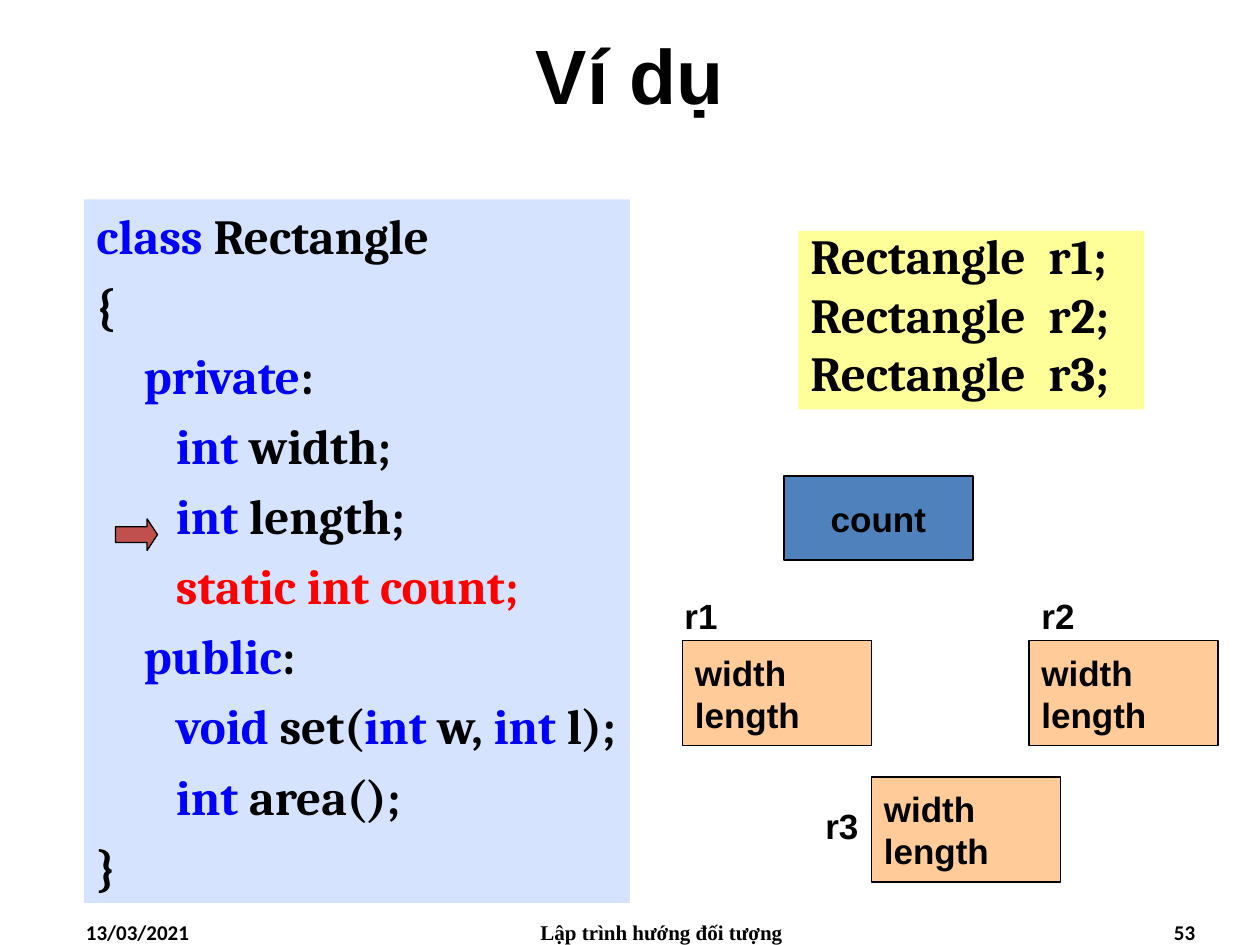
from lxml import etree
from pptx import Presentation
from pptx.dml.color import RGBColor
from pptx.enum.shapes import MSO_SHAPE
from pptx.enum.text import MSO_ANCHOR, MSO_AUTO_SIZE, PP_ALIGN
from pptx.oxml.ns import qn
from pptx.util import Pt

RECT, ARROW = MSO_SHAPE.RECTANGLE, MSO_SHAPE.RIGHT_ARROW
LEFT, CENTER, RIGHT = PP_ALIGN.LEFT, PP_ALIGN.CENTER, PP_ALIGN.RIGHT
TOP, MIDDLE = MSO_ANCHOR.TOP, MSO_ANCHOR.MIDDLE
FIT_SHAPE = MSO_AUTO_SIZE.SHAPE_TO_FIT_TEXT

BLACK, KEYWORD, STATIC = "000000", "0000FF", "FF0000"
TITLE_ONLY = 5


def color(value):
    return RGBColor.from_string(value)


class SlideBuilder:
    """Holds the text style and the slide being filled."""
    sans, code_font = "Arial", "Cambria"
    label_size, code_size = 20, 28
    code_gap = 6.4

    def __init__(self, page):
        self.page = page

    def span(self, para, text, size, font, ink=BLACK):
        span = para.add_run()
        span.text = text
        span.font.size = Pt(size)
        span.font.name = font
        span.font.bold = True
        span.font.color.rgb = color(ink)

    def paragraphs(self, frame, count):
        """Yield the first paragraph, then added ones."""
        for index in range(count):
            yield frame.add_paragraph() if index else frame.paragraphs[0]

    def fill_text(self, frame, lines, size, font, align=LEFT, anchor=TOP):
        frame.vertical_anchor = anchor
        for para, line in zip(self.paragraphs(frame, len(lines)), lines):
            para.alignment = align
            self.span(para, line, size, font)

    def title(self, text, left, top, width, height):
        box = self.page.shapes.title
        box.left, box.top, box.width, box.height = map(Pt, (left, top, width, height))
        self.fill_text(box.text_frame, [text], 44, self.sans, CENTER, MIDDLE)

    def shape(self, kind, left, top, width, height, fill, line=None):
        shape = self.page.shapes.add_shape(kind, *map(Pt, (left, top, width, height)))
        shape.shadow.inherit = False
        shape.fill.solid()
        shape.fill.fore_color.rgb = color(fill)
        if line:
            shape.line.color.rgb = color(line)
            shape.line.width = Pt(0.75)
        else:
            shape.line.fill.background()
        return shape

    def text(self, text, left, top, width, height, size, font, align=LEFT):
        box = self.page.shapes.add_textbox(*map(Pt, (left, top, width, height)))
        box.text_frame.word_wrap = True
        self.fill_text(box.text_frame, [text], size, font, align)
        return box

    def label(self, text, left, top):
        frame = self.text(text, left, top, 34, 32, self.label_size, self.sans).text_frame
        frame.word_wrap = False
        frame.auto_size = FIT_SHAPE

    def member_box(self, lines, left, top, height, fill, align=LEFT):
        box = self.shape(RECT, left, top, 108, height, fill, BLACK)
        self.fill_text(box.text_frame, lines, self.label_size, self.sans, align, MIDDLE)

    def code(self, lines, left, top, width, height, fill, spacing=None, tab=None):
        """Each line is (indent, (text, colour), ...)."""
        frame = self.shape(RECT, left, top, width, height, fill).text_frame
        frame.margin_right = 0
        frame.vertical_anchor = TOP
        for para, (indent, *spans) in zip(self.paragraphs(frame, len(lines)), lines):
            para.alignment = LEFT
            para.space_before = Pt(self.code_gap)
            if spacing:
                para.line_spacing = spacing
            properties = para._p.get_or_add_pPr()
            properties.set("marL", str(Pt(indent)))
            if tab:
                stops = etree.SubElement(properties, qn("a:tabLst"))
                etree.SubElement(stops, qn("a:tab"), pos=str(Pt(tab)), algn="l")
            for text, ink in spans:
                self.span(para, text, self.code_size, self.code_font, ink)


def main():
    deck = Presentation()
    deck.slide_width, deck.slide_height = Pt(720), Pt(540)
    builder = SlideBuilder(deck.slides.add_slide(deck.slide_layouts[TITLE_ONLY]))

    builder.title("Ví dụ", 0, 0, 720, 84)

    # Footer: date, course, page number
    builder.text("13/03/2021", 42, 522, 168, 18, 12, "Calibri")
    builder.text("Lập trình hướng đối tượng", 264, 522, 228, 18, 12,
                 "Times New Roman", CENTER)
    builder.text("53", 522, 522, 168, 18, 12, "Calibri", RIGHT)

    # Class declaration
    section, member = 27, 45.4
    builder.code([
        (0, ("class ", KEYWORD), ("Rectangle", BLACK)),
        (0, ("{", BLACK)),
        (section, ("private", KEYWORD), (":", BLACK)),
        (member, ("int ", KEYWORD), ("width;", BLACK)),
        (member, ("int ", KEYWORD), ("length;", BLACK)),
        (member, ("static int count;", STATIC)),
        (section, ("public", KEYWORD), (":", BLACK)),
        (member, ("void ", KEYWORD), ("set(", BLACK), ("int ", KEYWORD),
         ("w, ", BLACK), ("int ", KEYWORD), ("l);", BLACK)),
        (member, ("int ", KEYWORD), ("area();", BLACK)),
        (0, ("}", BLACK)),
    ], 48, 114, 312, 402, "D5E3FF")

    # Object declarations
    names = ["r1", "r2", "r3"]
    builder.code([(0, (f"Rectangle\t{name};", BLACK)) for name in names],
                 456, 132, 198, 102, "FFFF99", spacing=0.8, tab=136)

    # Arrow to the static member
    arrow = builder.shape(ARROW, 66, 296.5, 24, 18, "C0504D", BLACK)
    arrow.adjustments[0], arrow.adjustments[1] = 0.5, 0.33

    # Objects with their own members
    box_places = [(390, 366), (588, 366), (498, 444)]
    label_places = [(384, 336), (588, 336), (464.5, 456)]
    for name, box_place, label_place in zip(names, box_places, label_places):
        builder.member_box(["width", "length"], *box_place, 60, "FFCC99")
        builder.label(name, *label_place)

    # Member shared by all objects
    builder.member_box(["count"], 448, 272, 48, "4F81BD", CENTER)

    deck.save("out.pptx")


if __name__ == "__main__":
    main()
